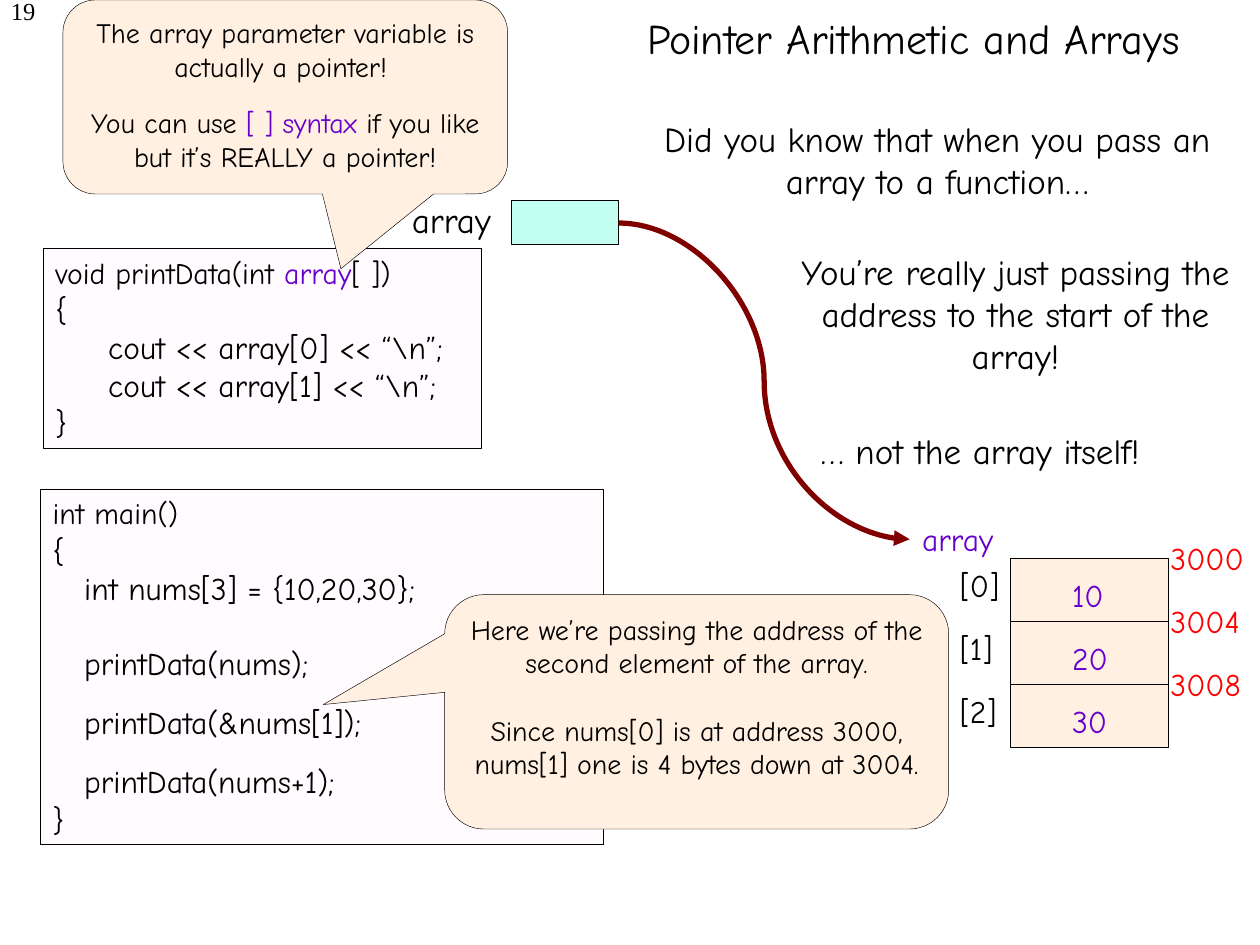
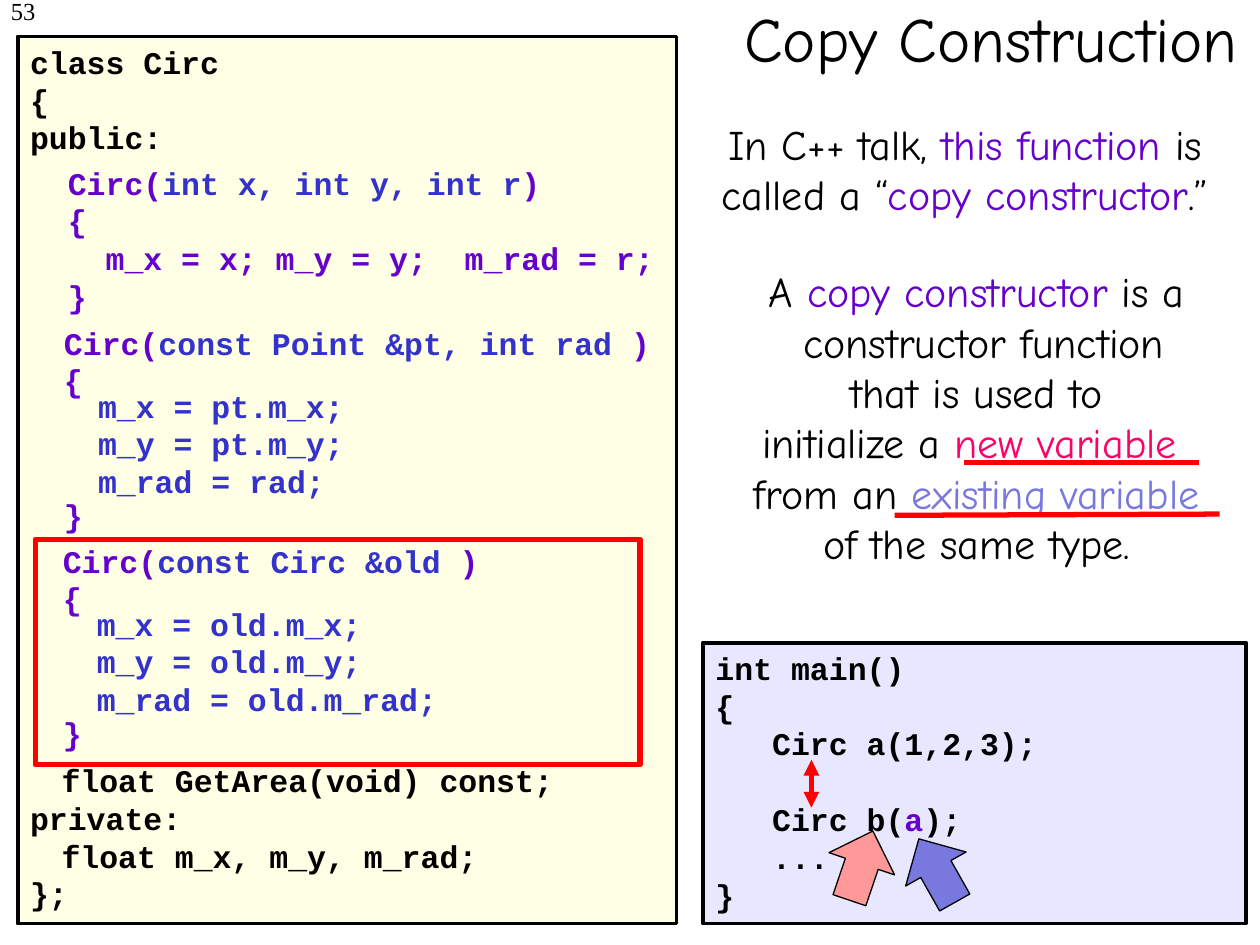
"""Two lecture slides: array parameters as pointers, and copy construction."""
from dataclasses import dataclass, field
from typing import Any

from lxml import etree
from pptx import Presentation
from pptx.dml.color import RGBColor
from pptx.enum.shapes import MSO_CONNECTOR, MSO_SHAPE
from pptx.enum.text import MSO_ANCHOR, PP_ALIGN
from pptx.oxml.ns import qn
from pptx.util import Inches, Pt

COLORS = {
    "black": "000000", "purple": "6600CC", "blue": "3333CC", "red": "FF0000",
    "pink": "FF0066", "periwinkle": "7878DE", "salmon": "FF9999",
    "maroon": "800000", "mint": "C2FFF0", "peach": "FFF0E1",
    "code": "FFFBFF", "cream": "FFFFE5", "lavender": "E7E7FF",
}
HAND, MONO, SERIF = "Comic Neue", "Courier New", "Times New Roman"
CELL = 0.1         # inches; the grid has 100 columns and 75 rows
LINE_PITCH = 1.2   # line height as a share of the text size
CHAR = 1.5         # columns taken by one 18 point monospaced character
MONO_LINE = 18 * LINE_PITCH


@dataclass
class Para:
    """One paragraph: runs are strings or (string, colour) pairs."""
    runs: list
    indent: float = 0      # columns
    before: float = 0      # points
    size: float = 0        # points, 0 takes the size of the text block


def para(*runs, **options):
    """Make a paragraph from its runs."""
    return Para(list(runs), **options)


def grid(value):
    """Turn grid cells into a length."""
    return Inches(round(value * CELL, 3))


@dataclass
class Deck:
    """Holds the presentation, the shared style and the current slide."""
    prs: Any = field(default_factory=Presentation)
    slide: Any = None

    def start(self):
        """Set the slide size."""
        self.prs.slide_width, self.prs.slide_height = grid(100), grid(75)

    def new_slide(self, number, title, title_at, title_size):
        """Add a blank slide with its page number and title."""
        self.slide = self.prs.slides.add_slide(self.prs.slide_layouts[6])
        self.text((-17, -0.8, 20.8, 5), [para(str(number))], size=14,
                  font=SERIF, align=PP_ALIGN.RIGHT)
        box = self.text(title_at, [para(title)], size=title_size,
                        align=PP_ALIGN.CENTER)
        box.text_frame.vertical_anchor = MSO_ANCHOR.MIDDLE

    def color(self, name):
        """Look up a colour by name."""
        return RGBColor.from_string(COLORS[name])

    def set_paras(self, shape, paras, size=18, font=HAND, color="black",
                  align=PP_ALIGN.LEFT):
        """Fill a shape with top-anchored, wrapped paragraphs."""
        frame = shape.text_frame
        frame.word_wrap = True
        frame.vertical_anchor = MSO_ANCHOR.TOP
        for i, item in enumerate(paras):
            p = frame.paragraphs[0] if i == 0 else frame.add_paragraph()
            points = item.size or size
            p.alignment = align
            p.line_spacing = Pt(points * LINE_PITCH)
            p.space_before = Pt(item.before)
            if item.indent:
                p._p.get_or_add_pPr().set("marL", str(grid(item.indent)))
            for run in item.runs:
                words, tone = (run, color) if isinstance(run, str) else run
                r = p.add_run()
                r.text = words
                r.font.size, r.font.name = Pt(points), font
                r.font.bold = font == MONO
                r.font.color.rgb = self.color(tone)

    def text(self, at, paras, **style):
        """Add a text box."""
        box = self.slide.shapes.add_textbox(*map(grid, at))
        self.set_paras(box, paras, **style)
        return box

    def shape(self, at, fill=None, weight=0.25, kind=MSO_SHAPE.RECTANGLE,
              line="black", paras=(), **style):
        """Add an outlined preset shape, with text if given."""
        shape = self.slide.shapes.add_shape(kind, *map(grid, at))
        shape.shadow.inherit = False
        if fill:
            shape.fill.solid()
            shape.fill.fore_color.rgb = self.color(fill)
        else:
            shape.fill.background()
        shape.line.color.rgb = self.color(line)
        shape.line.width = Pt(weight)
        if paras:
            self.set_paras(shape, paras, **style)
        return shape

    def callout(self, at, tip, paras):
        """Add a speech bubble whose tip is given as shares of its size."""
        bubble = self.shape(at, "peach", paras=paras, size=16,
                            kind=MSO_SHAPE.ROUNDED_RECTANGULAR_CALLOUT,
                            align=PP_ALIGN.CENTER)
        for i, value in enumerate((*tip, 0.167)):
            bubble.adjustments[i] = value

    def arrow(self, at, angle, fill):
        """Add a rotated block arrow."""
        self.shape(at, fill, 0.75, MSO_SHAPE.UP_ARROW).rotation = angle

    def line(self, start, end, color="red", kind=MSO_CONNECTOR.STRAIGHT,
             heads=()):
        """Add a 3 point connector with arrowheads at the named ends."""
        link = self.slide.shapes.add_connector(kind, *map(grid, start + end))
        link.line.color.rgb = self.color(color)
        link.line.width = Pt(3)
        properties = link._element.spPr
        for end_name in heads:
            etree.SubElement(properties.find(qn("a:ln")), qn(f"a:{end_name}"),
                             type="triangle")
        etree.SubElement(properties, qn("a:effectLst"))


def pointer_slide(deck):
    """Array parameters are pointers."""
    deck.new_slide(19, "Pointer Arithmetic and Arrays", (30, -3.3, 85, 12.5), 24)
    deck.shape((40.6, 15.9, 8.5, 3.5), "mint", 0.75)
    deck.text((31.7, 15.3, 10, 4), [para("array")], size=20)

    deck.shape((3.4, 19.7, 34.8, 15.9), "code", paras=[
        para("void printData(int ", ("array", "purple"), "[ ])", size=17),
        para("{"),
        para("cout << array[0] << “\\n”;", indent=4.2),
        para("cout << array[1] << “\\n”;", indent=4.2),
        para("}"),
    ])
    deck.shape((3.2, 38.8, 44.7, 28.2), "code", paras=[
        para("int main()", size=17),
        para("{"),
        para("int nums[3] = {10,20,30};", indent=2.5),
        para("printData(nums);", indent=2.5, before=21.6),
        para("printData(&nums[1]);", indent=2.5, before=12),
        para("printData(nums+1);", indent=2.5, before=12),
        para("}"),
    ])

    remarks = [
        ((50.7, 8.8, 47.4, 7.7),
         "Did you know that when you pass an array to a function…"),
        ((62.5, 19.4, 36.2, 11.1),
         "You’re really just passing the address to the start of the array!"),
        ((54.1, 33.6, 47.4, 4.3), "… not the array itself!"),
    ]
    for at, words in remarks:
        deck.text(at, [para(words)], size=20, align=PP_ALIGN.CENTER)

    for i, value in enumerate((10, 20, 30)):
        top = 44.3 + 5 * i
        deck.shape((80.2, top, 12.5, 5), "peach")
        deck.text((75.2, top + 0.1, 5.4, 4), [para(f"[{i}]")])
        deck.text((84.1, top + 0.9, 5.1, 4), [para(str(value))], color="purple")
        deck.text((91.9, top - 2, 8.1, 4), [para(str(3000 + 4 * i))], color="red")
    deck.text((72.2, 40.8, 8.8, 4), [para("array")], color="purple")
    deck.line((49.1, 17.7), (72.2, 42.8), "maroon", MSO_CONNECTOR.CURVE,
              ["tailEnd"])

    deck.callout((35.3, 47.2, 40, 18.6), (-0.741, -0.031), [
        para("Here we’re passing the address of the second element of the array."),
        para("Since nums[0] is at address 3000, nums[1] one is 4 bytes down "
             "at 3004.", before=19.2),
    ])
    deck.callout((5, 0, 35.3, 15.4), (0.125, 0.885), [
        para("The array parameter variable is actually a pointer! "),
        para("You can use ", ("[ ] syntax ", "purple"),
             "if you like but it’s REALLY a pointer!", before=13.2),
    ])


def constructor(deck, left, top, arguments, body):
    """Add a constructor: its frame of braces and its assignments."""
    deck.text((left, top, 50, 17.7), [
        para("Circ(", (arguments, "blue"), " )", indent=CHAR),
        para("{", indent=CHAR),
        para("}", indent=CHAR, before=2 * MONO_LINE + 12),
    ], font=MONO, color="purple")
    deck.text((left + 4.2, top + 5, 35.3, 10), [para(row) for row in body],
              font=MONO, color="blue")


def copy_slide(deck):
    """What a copy constructor is."""
    deck.new_slide(53, "Copy Construction", (52.3, -3.3, 52.7, 12.5), 36)
    deck.shape((55.8, 51, 43.1, 22.3), "lavender", 2.25, font=MONO, paras=[
        para("int main()"),
        para("{"),
        para("Circ a(1,2,3);", indent=3 * CHAR),
        para("Circ b(", ("a", "purple"), ");", indent=3 * CHAR,
             before=MONO_LINE),
        para("...", indent=3 * CHAR),
        para("}"),
    ])
    deck.shape((1.4, 2.9, 52.3, 70.4), "cream", 2.25, font=MONO, paras=[
        para("class Circ"),
        para("{"),
        para("public:"),
        para("float GetArea(void) const;", indent=2.5, before=16 * MONO_LINE),
        para("private:"),
        para("float m_x, m_y, m_rad;", indent=2.5),
        para("};"),
    ])
    deck.text((2.9, 12.5, 50, 13), [
        para("Circ(", ("int x, int y, int r", "blue"), ")", indent=CHAR),
        para("{", indent=CHAR),
        para("m_x = x; m_y = y;  m_rad = r;", indent=3 * CHAR),
        para("}", indent=CHAR),
    ], font=MONO, color="purple")
    constructor(deck, 2.6, 25.2, "const Point &pt, int rad",
                ["m_x = pt.m_x;", "m_y = pt.m_y;", "m_rad = rad;"])
    constructor(deck, 2.5, 42.5, "const Circ &old",
                ["m_x = old.m_x;", "m_y = old.m_y;", "m_rad = old.m_rad;"])
    deck.shape((2.8, 42.8, 48, 17.9), line="red", weight=3)

    deck.text((53, 8.9, 47.2, 9), [
        para("In C++ talk, ", ("this function", "purple"), " is called a “",
             ("copy constructor", "purple"), ".”"),
    ], size=24, align=PP_ALIGN.CENTER)
    deck.text((53.9, 20.6, 47.2, 25.2), [
        para("A ", ("copy constructor", "purple"), " is a"),
        para(" constructor function"),
        para("that is used to"),
        para("initialize a ", ("new variable ", "pink")),
        para("from an ", ("existing variable", "periwinkle")),
        para("of the same type."),
    ], size=24, align=PP_ALIGN.CENTER)
    deck.line((76.5, 36.7), (95.2, 36.7))
    deck.line((71, 40.9), (96.8, 40.8))
    deck.line((64.4, 60.3), (64.4, 64.1), heads=["headEnd", "tailEnd"])
    deck.arrow((65.6, 65.8, 5.5, 5.8), 18.7, "salmon")
    deck.arrow((71.6, 66.2, 5.5, 5.8), 330.6, "periwinkle")


deck = Deck()
deck.start()
pointer_slide(deck)
copy_slide(deck)
deck.prs.save("out.pptx")
